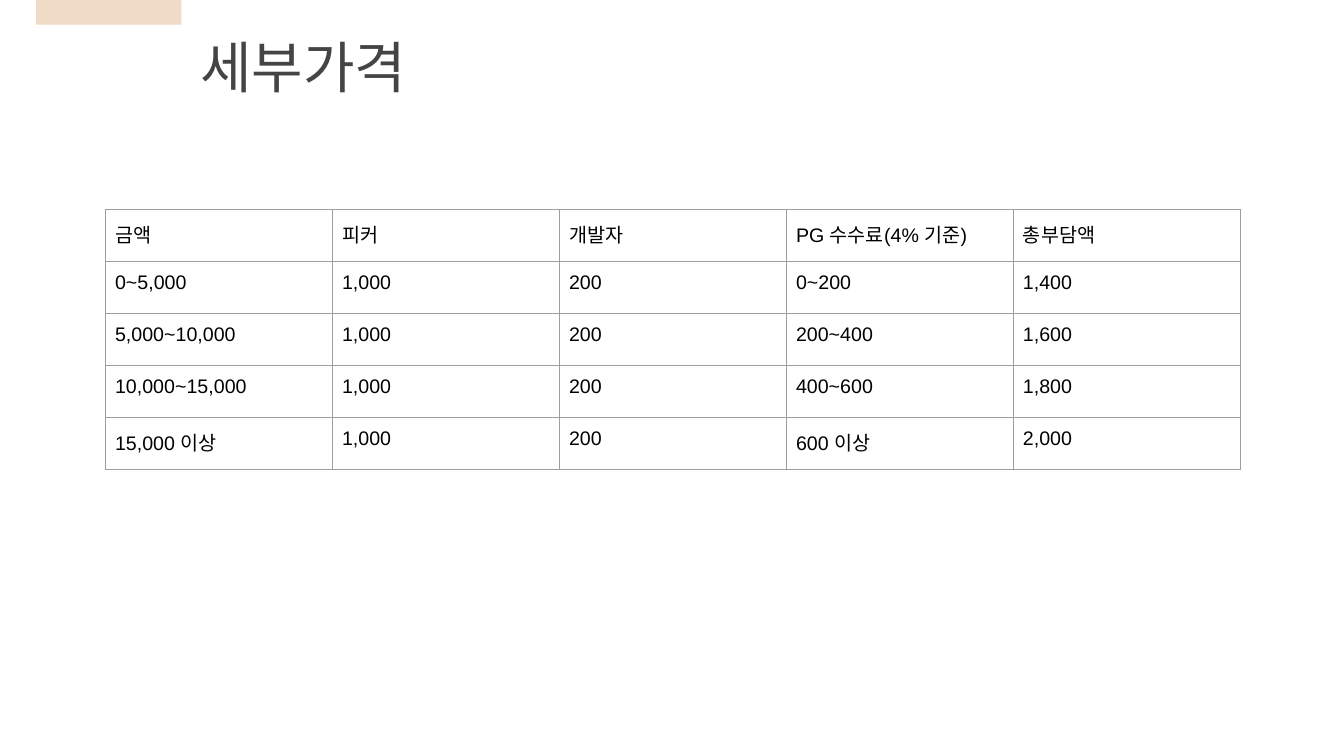
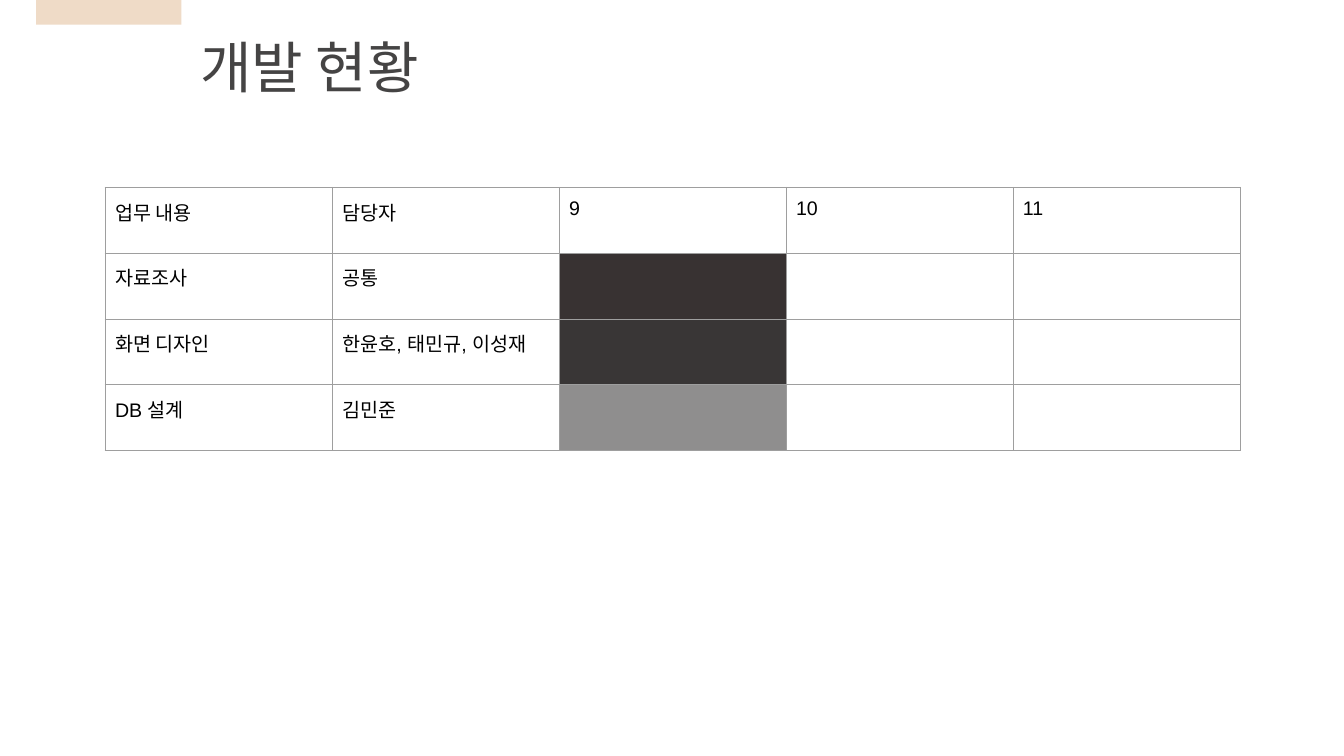
from dataclasses import dataclass, field

from lxml.etree import SubElement
from pptx import Presentation
from pptx.dml.color import RGBColor
from pptx.enum.shapes import MSO_SHAPE
from pptx.enum.text import MSO_AUTO_SIZE
from pptx.oxml.ns import qn
from pptx.slide import Slide
from pptx.table import _Cell as Cell
from pptx.text.text import _Paragraph as Paragraph
from pptx.util import Cm, Pt

ACCENT = "EFDBC7"
TITLE_COLOR = "454444"
TEXT_COLOR = "000000"
BORDER = "9E9E9E"
TABLE_LEFT, COL_WIDTH = 2.65, 5.72
CELL_MARGIN = Cm(0.25)


@dataclass
class TableSlide:
    title: str
    title_width: float
    table_top: float
    row_height: float
    rows: list[list[str]]
    fills: dict[tuple[int, int], str] = field(default_factory=dict)


SLIDES = [
    TableSlide("세부가격", 13.16, 5.29, 1.31, [
        ["금액", "피커", "개발자", "PG 수수료(4% 기준)", "총부담액"],
        ["0~5,000", "1,000", "200", "0~200", "1,400"],
        ["5,000~10,000", "1,000", "200", "200~400", "1,600"],
        ["10,000~15,000", "1,000", "200", "400~600", "1,800"],
        ["15,000 이상", "1,000", "200", "600 이상", "2,000"],
    ]),
    TableSlide("개발 현황", 27.41, 4.72, 1.66, [
        ["업무 내용", "담당자", "9", "10", "11"],
        ["자료조사", "공통", "", "", ""],
        ["화면 디자인", "한윤호, 태민규, 이성재", "", "", ""],
        ["DB 설계", "김민준", "", "", ""],
    ], {(1, 2): "383232", (2, 2): "393636", (3, 2): "8F8E8E"}),
]


def rgb(value: str) -> RGBColor:
    return RGBColor.from_string(value)


def write(p: Paragraph, text: str, font: str, size: float, color: str) -> None:
    p.text = text
    p.font.name = font
    p.font.size = Pt(size)
    p.font.color.rgb = rgb(color)


def add_heading(s: Slide, title: str, width: float) -> None:
    """Add the accent tab at the top edge and the title beside it."""
    tab = s.shapes.add_shape(MSO_SHAPE.RECTANGLE, Cm(0.91), 0, Cm(3.66), Cm(0.62))
    tab.shadow.inherit = False
    tab.fill.solid()
    tab.fill.fore_color.rgb = rgb(ACCENT)
    tab.line.fill.background()

    box = s.shapes.add_textbox(Cm(4.8), Cm(0.69), Cm(width), Cm(1.96))
    tf = box.text_frame
    tf.word_wrap = True
    tf.auto_size = MSO_AUTO_SIZE.SHAPE_TO_FIT_TEXT
    write(tf.paragraphs[0], title, "Calibri", 40, TITLE_COLOR)


def set_borders(cell: Cell) -> None:
    """Outline the cell; call before filling, as borders come first in tcPr."""
    props = cell._tc.get_or_add_tcPr()
    for side in ("lnL", "lnR", "lnT", "lnB"):
        line = SubElement(props, qn(f"a:{side}"), w=str(Pt(0.75)))
        fill = SubElement(line, qn("a:solidFill"))
        SubElement(fill, qn("a:srgbClr"), val=BORDER)


def add_table(s: Slide, content: TableSlide) -> None:
    n_rows, n_cols = len(content.rows), len(content.rows[0])
    table = s.shapes.add_table(
        n_rows, n_cols, Cm(TABLE_LEFT), Cm(content.table_top),
        Cm(COL_WIDTH * n_cols), Cm(content.row_height * n_rows)).table
    table.first_row = table.horz_banding = False
    for i, texts in enumerate(content.rows):
        for j, text in enumerate(texts):
            cell = table.cell(i, j)
            cell.margin_left = cell.margin_right = CELL_MARGIN
            cell.margin_top = cell.margin_bottom = CELL_MARGIN
            set_borders(cell)
            if (i, j) in content.fills:
                cell.fill.solid()
                cell.fill.fore_color.rgb = rgb(content.fills[i, j])
            else:
                cell.fill.background()
            write(cell.text_frame.paragraphs[0], text, "Arial", 14, TEXT_COLOR)


def main() -> None:
    prs = Presentation()
    prs.slide_width, prs.slide_height = Cm(33.87), Cm(19.05)
    for content in SLIDES:
        s = prs.slides.add_slide(prs.slide_layouts[6])
        add_heading(s, content.title, content.title_width)
        add_table(s, content)
    prs.save("out.pptx")


if __name__ == "__main__":
    main()
